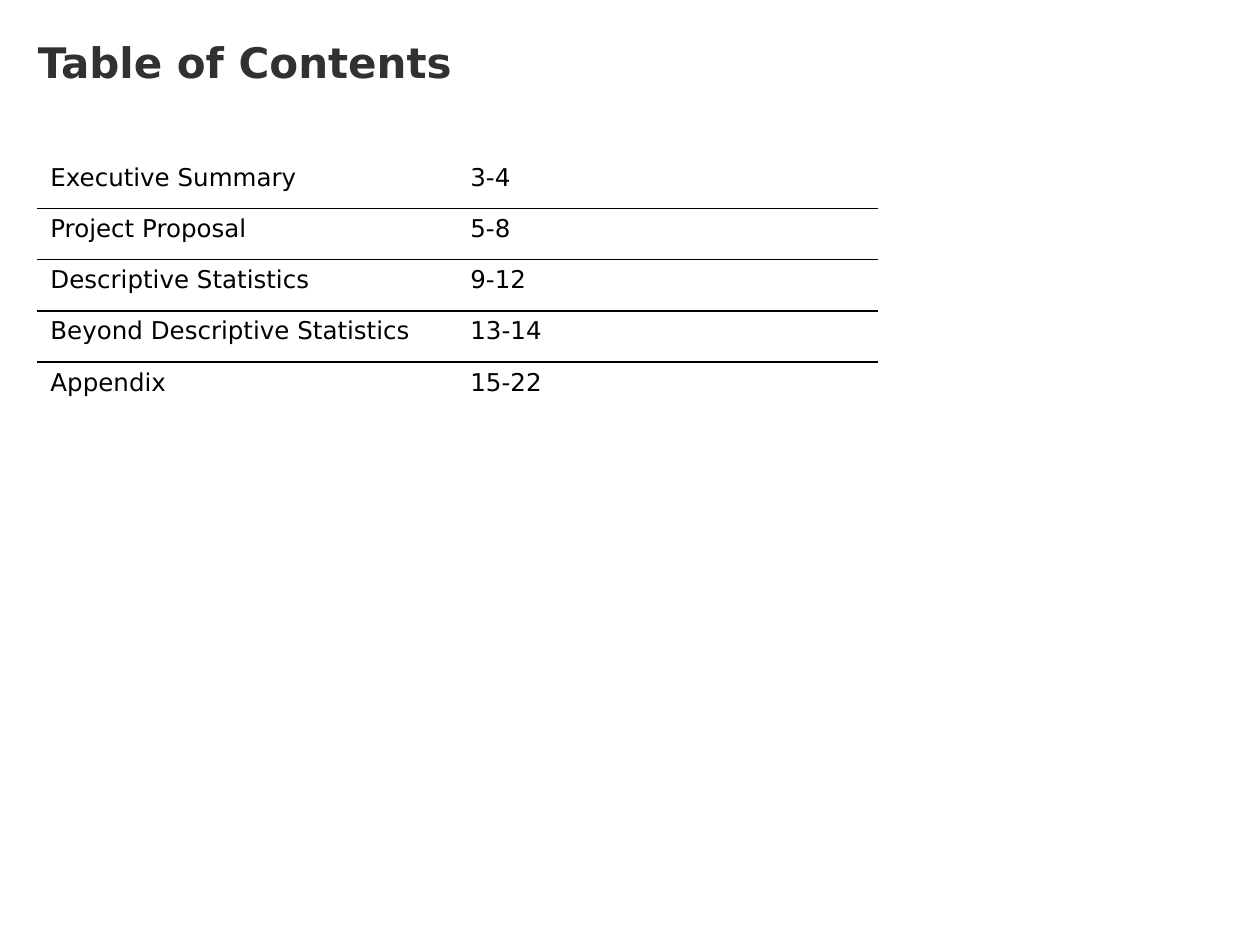
from lxml.etree import SubElement
from pptx import Presentation
from pptx.dml.color import RGBColor
from pptx.enum.text import MSO_ANCHOR, MSO_AUTO_SIZE, PP_ALIGN
from pptx.oxml import parse_xml
from pptx.oxml.ns import nsdecls
from pptx.util import Pt

FONT = "DejaVu Sans"
COLORS = {"title": "313131", "text": "000000", "rule": "000000", "paper": "FFFFFF"}
CONTENTS = [
    ("Executive Summary", "3-4"),
    ("Project Proposal", "5-8"),
    ("Descriptive Statistics", "9-12"),
    ("Beyond Descriptive Statistics", "13-14"),
    ("Appendix", "15-22"),
]
LEFT = 21.6
COL_WIDTH = 240
ROW_HEIGHT = 29.2


def write_text(tf, text, size, color, bold=False, before=0):
    p = tf.paragraphs[0]
    p.alignment = PP_ALIGN.LEFT
    p.space_before = Pt(before)
    r = p.add_run()
    r.text = text
    r.font.name = FONT
    r.font.size = Pt(size)
    r.font.bold = bold
    r.font.color.rgb = RGBColor.from_string(COLORS[color])


def add_title(s, text):
    sp = s.shapes.title
    sp.left, sp.top, sp.width, sp.height = Pt(LEFT), Pt(20.9), Pt(676), Pt(28.8)
    tf = sp.text_frame
    tf.word_wrap = True
    tf.auto_size = MSO_AUTO_SIZE.NONE
    tf.vertical_anchor = MSO_ANCHOR.MIDDLE
    tf.margin_left = tf.margin_top = tf.margin_right = tf.margin_bottom = 0
    write_text(tf, text, 24, "title", bold=True, before=6)


def set_borders(cell, **sides):
    tcPr = cell._tc.get_or_add_tcPr()
    for i, (side, color) in enumerate(sides.items()):
        ln = parse_xml(
            f'<a:ln{side} {nsdecls("a")} w="{Pt(1)}"><a:solidFill>'
            f'<a:srgbClr val="{COLORS[color]}"/></a:solidFill></a:ln{side}>'
        )
        tcPr.insert(i, ln)


def add_contents_table(s, rows):
    frame = s.shapes.add_table(
        len(rows), 2, Pt(LEFT), Pt(90), Pt(2 * COL_WIDTH), Pt(ROW_HEIGHT * len(rows))
    )
    table = frame.table
    table.first_row = table.horz_banding = False
    for col in table.columns:
        col.width = Pt(COL_WIDTH)
    last = len(rows) - 1
    for i, row in enumerate(rows):
        table.rows[i].height = Pt(ROW_HEIGHT)
        for j, text in enumerate(row):
            cell = table.cell(i, j)
            cell.fill.solid()
            cell.fill.fore_color.rgb = RGBColor.from_string(COLORS["paper"])
            set_borders(
                cell,
                L="paper",
                R="paper",
                T="paper" if i == 0 else "rule",
                B="paper" if i == last else "rule",
            )
            write_text(cell.text_frame, text, 14, "text")


def main():
    prs = Presentation()
    prs.slide_width, prs.slide_height = Pt(720), Pt(540)
    s = prs.slides.add_slide(prs.slide_layouts[5])
    add_title(s, "Table of Contents")
    add_contents_table(s, CONTENTS)
    prs.save("out.pptx")


if __name__ == "__main__":
    main()
